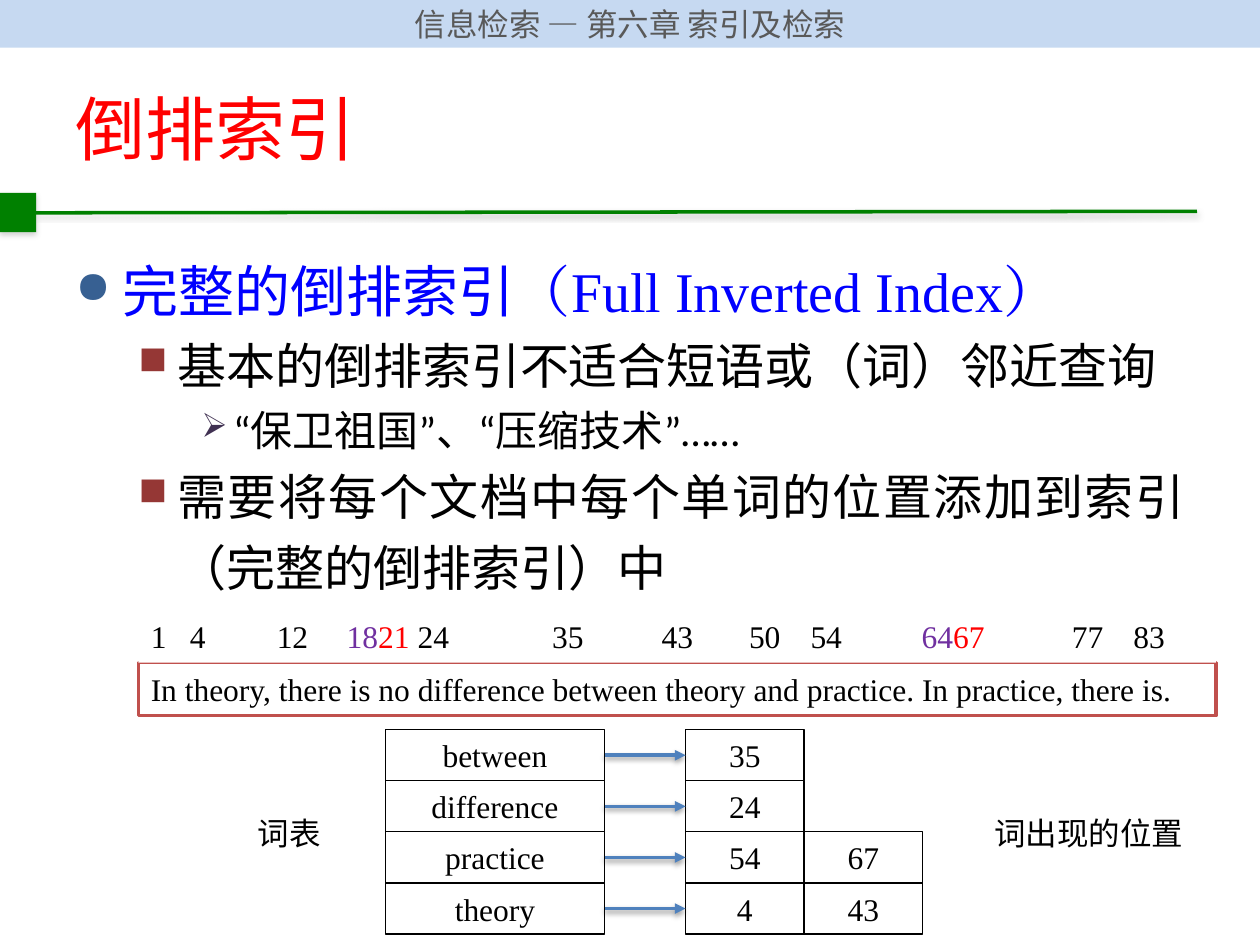
from lxml.etree import SubElement
from pptx import Presentation
from pptx.dml.color import RGBColor
from pptx.enum.shapes import MSO_CONNECTOR, MSO_SHAPE
from pptx.enum.text import MSO_ANCHOR, PP_ALIGN
from pptx.oxml.ns import qn
from pptx.util import Cm, Pt

BLACK = RGBColor(0x00, 0x00, 0x00)
WHITE = RGBColor(0xFF, 0xFF, 0xFF)
RED = RGBColor(0xFF, 0x00, 0x00)
BLUE = RGBColor(0x00, 0x00, 0xFF)
GREEN = RGBColor(0x00, 0x80, 0x00)
GRAY = RGBColor(0x59, 0x59, 0x59)
SHADOW_GRAY = RGBColor(0x80, 0x80, 0x80)
PURPLE = RGBColor(0x70, 0x30, 0xA0)
PALE_BLUE = RGBColor(0xC6, 0xD9, 0xF1)
ARROW_BLUE = RGBColor(0x4F, 0x81, 0xBD)
FRAME_RED = RGBColor(0xC0, 0x50, 0x4D)

HEADING_FONT = "Noto Sans CJK SC"
BODY_FONT = "Calibri"
SERIF_FONT = "Times New Roman"

# Per outline level: size in points, left margin and hanging indent in cm, bullet
LEVELS = [
    {"size": 32, "margin": 0.95, "hang": 0.95, "char": "●", "color": "376092"},
    {"size": 28, "margin": 2.06, "hang": 0.79, "char": "■", "color": "953735"},
    {"size": 24, "margin": 3.18, "hang": 0.64, "char": "➢", "color": "403152"},
]
OUTLINE = [
    (0, [("完整的倒排索引", BODY_FONT), ("（Full Inverted Index）", SERIF_FONT)], BLUE),
    (1, [("基本的倒排索引不适合短语或（词）邻近查询", BODY_FONT)], BLACK),
    (2, [("“保卫祖国”、“压缩技术”……", BODY_FONT)], BLACK),
    (1, [("需要将每个文档中每个单词的位置添加到索引（完整的倒排索引）中", BODY_FONT)], BLACK),
]
SENTENCE = "In theory, there is no difference between theory and practice. In practice, there is."
POSITIONS = [
    ("1\t4\t12\t", BLACK), ("18", PURPLE), ("21\t", RED),
    ("24\t35\t43\t50\t54\t", BLACK), ("64", PURPLE), ("67\t", RED), ("77\t83", BLACK),
]
POSITION_TABS = [0.79, 2.54, 3.95, 5.38, 8.09, 10.3, 12.06, 13.3, 15.54, 18.57, 19.81]
INDEX = [
    ("between", ["35"]),
    ("difference", ["24"]),
    ("practice", ["54", "67"]),
    ("theory", ["4", "43"]),
]
ROW_TOP, ROW_HEIGHT = 14.71, 1.03
WORD_LEFT, WORD_WIDTH = 7.77, 4.42
POSITION_LEFT, POSITION_WIDTH = 13.82, 2.39


def add_span(para, text, font, size, color):
    span = para.add_run()
    span.text = text
    for name, value in {"name": font, "size": Pt(size)}.items():
        setattr(span.font, name, value)
    span.font.color.rgb = color
    SubElement(span.font._element, qn("a:ea"), typeface=font)


def add_shadow(shape, color, alpha):
    """Give the shape a soft shadow straight below it."""
    effects = shape._element.spPr.find(qn("a:effectLst"))
    if effects is None:
        effects = SubElement(shape._element.spPr, qn("a:effectLst"))
    shadow = SubElement(effects, qn("a:outerShdw"), blurRad=str(Pt(3.1)),
                        dist=str(Pt(1.7)), dir="5400000", rotWithShape="0")
    tint = SubElement(shadow, qn("a:srgbClr"), val=str(color))
    SubElement(tint, qn("a:alpha"), val=str(alpha * 1000))


def add_rectangle(page, left, top, width, height, fill=None, line=None, weight=0.75):
    box = page.shapes.add_shape(MSO_SHAPE.RECTANGLE, Cm(left), Cm(top), Cm(width), Cm(height))
    box.shadow.inherit = False
    if fill is None:
        box.fill.background()
    else:
        box.fill.solid()
        box.fill.fore_color.rgb = fill
    if line is None:
        box.line.fill.background()
    else:
        box.line.color.rgb = line
        box.line.width = Pt(weight)
    return box


def write(box, spans, font, align=PP_ALIGN.LEFT, size=18):
    """Fill the first paragraph with (text, colour) spans and return it."""
    box.text_frame.word_wrap = True
    para = box.text_frame.paragraphs[0]
    para.alignment = align
    for text, color in spans:
        add_span(para, text, font, size, color)
    return para


def add_line(page, start, end, color, shadow_color):
    line = page.shapes.add_connector(MSO_CONNECTOR.STRAIGHT, *map(Cm, start + end))
    line.line.color.rgb = color
    line.line.width = Pt(2)
    add_shadow(line, shadow_color, 38)
    return line


def add_arrow(page, source, target):
    arrow = add_line(page, (0, 0), (0, 0), ARROW_BLUE, BLACK)
    arrow.begin_connect(source, 3)
    arrow.end_connect(target, 1)
    SubElement(arrow.line._get_or_add_ln(), qn("a:tailEnd"), type="triangle")


def add_label(page, text, left, width):
    box = page.shapes.add_textbox(Cm(left), Cm(16.28), Cm(width), Cm(1.02))
    write(box, [(text, BLACK)], BODY_FONT)


def add_cell(page, text, left, top, width):
    cell = add_rectangle(page, left, top, width, ROW_HEIGHT, line=BLACK)
    write(cell, [(text, BLACK)], SERIF_FONT, PP_ALIGN.CENTER)
    return cell


def add_header(page):
    band = add_rectangle(page, 0, 0, 25.4, 0.96, PALE_BLUE)
    write(band, [("信息检索 — 第六章 索引及检索", GRAY)], HEADING_FONT, PP_ALIGN.CENTER)
    square = add_rectangle(page, 0, 3.89, 0.73, 0.79, GREEN)
    add_shadow(square, SHADOW_GRAY, 35)
    add_line(page, (0.73, 4.29), (24.13, 4.26), GREEN, SHADOW_GRAY)


def set_title(page, text):
    title = page.shapes.title
    place = {"left": 1.27, "top": 1.42, "width": 22.86, "height": 2.31}
    for name, value in place.items():
        setattr(title, name, Cm(value))
    title.text_frame.vertical_anchor = MSO_ANCHOR.MIDDLE
    write(title, [(text, RED)], HEADING_FONT, PP_ALIGN.JUSTIFY, 40)


def add_outline(page):
    frame = page.shapes.add_textbox(Cm(1.27), Cm(4.78), Cm(22.86), Cm(13.41)).text_frame
    frame.word_wrap = True
    for number, (depth, spans, color) in enumerate(OUTLINE):
        para = frame.add_paragraph() if number else frame.paragraphs[0]
        level = LEVELS[depth]
        for name, value in {"level": depth, "alignment": PP_ALIGN.JUSTIFY,
                            "line_spacing": 1.2}.items():
            setattr(para, name, value)
        props = para._p.get_or_add_pPr()
        props.set("marL", str(Cm(level["margin"])))
        props.set("indent", str(-Cm(level["hang"])))
        tint = SubElement(props, qn("a:buClr"))
        SubElement(tint, qn("a:srgbClr"), val=level["color"])
        SubElement(props, qn("a:buSzPct"), val="80000")
        SubElement(props, qn("a:buChar"), char=level["char"])
        for text, font in spans:
            add_span(para, text, font, level["size"], color)


def add_sentence(page):
    """Show the sentence with the character position of each word above it."""
    left, top, width, height = 2.79, 13.36, 21.72, 1.07
    sentence = add_rectangle(page, left, top, width, height, WHITE, FRAME_RED, 2)
    write(sentence, [(SENTENCE, BLACK)], SERIF_FONT)
    ruler = add_rectangle(page, left, top - height, width, height, WHITE)
    para = write(ruler, POSITIONS, SERIF_FONT)
    tabs = SubElement(para._p.get_or_add_pPr(), qn("a:tabLst"))
    for stop in POSITION_TABS:
        SubElement(tabs, qn("a:tab"), pos=str(Cm(stop)), algn="l")


def add_index(page):
    for row, (word, positions) in enumerate(INDEX):
        top = ROW_TOP + row * ROW_HEIGHT
        word_cell = add_cell(page, word, WORD_LEFT, top, WORD_WIDTH)
        cells = [add_cell(page, position, POSITION_LEFT + column * POSITION_WIDTH, top,
                          POSITION_WIDTH)
                 for column, position in enumerate(positions)]
        add_arrow(page, word_cell, cells[0])


def main():
    deck = Presentation()
    deck.slide_width, deck.slide_height = Cm(25.4), Cm(19.05)
    page = deck.slides.add_slide(deck.slide_layouts[5])
    add_header(page)
    set_title(page, "倒排索引")
    add_outline(page)
    add_sentence(page)
    add_index(page)
    add_label(page, "词表", 4.95, 2.11)
    add_label(page, "词出现的位置", 19.79, 4.72)
    deck.save("out.pptx")


if __name__ == "__main__":
    main()
